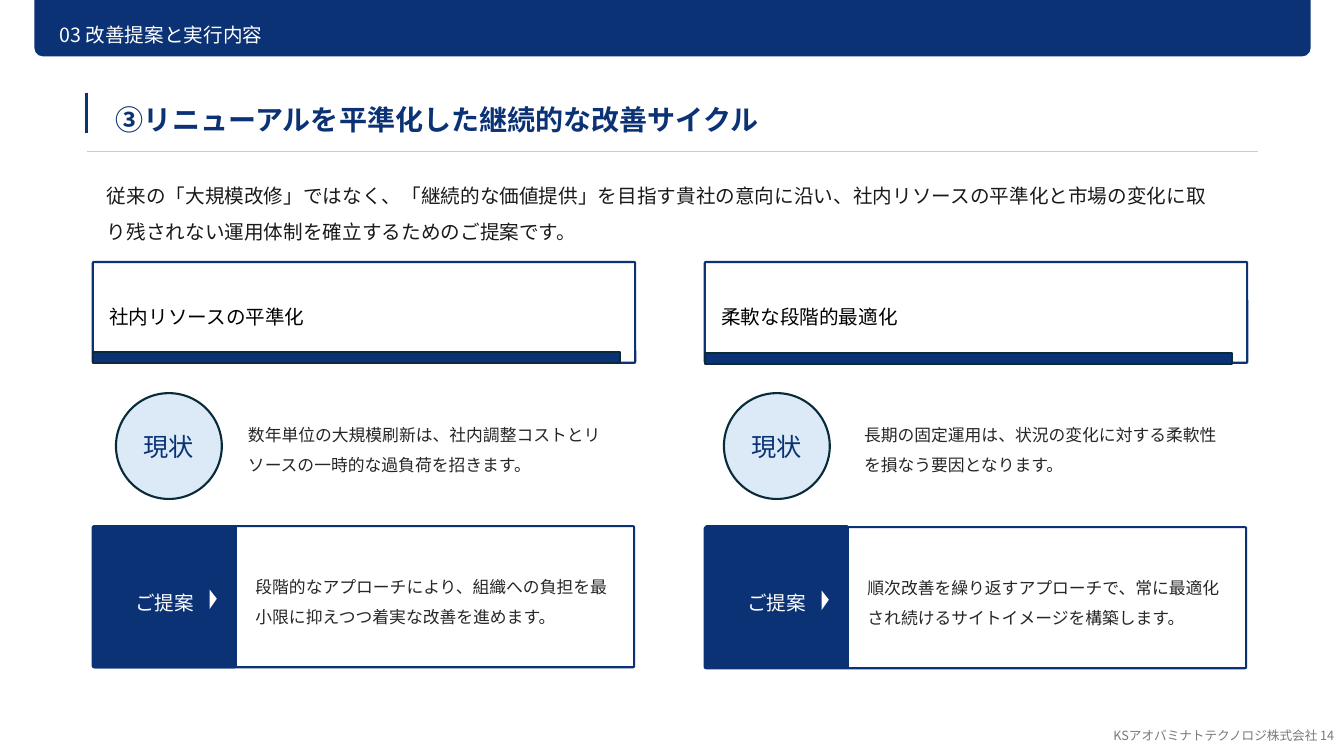
from lxml.etree import SubElement
from pptx import Presentation
from pptx.dml.color import RGBColor
from pptx.enum.shapes import MSO_CONNECTOR, MSO_SHAPE as Shape
from pptx.enum.text import MSO_ANCHOR as Anchor, MSO_AUTO_SIZE, PP_ALIGN as Align
from pptx.oxml.ns import qn
from pptx.util import Inches, Pt

FONT = "Noto Sans CJK JP"
NAVY, DARK, PALE, GREY, WHITE = "0B3274", "092A39", "DCEAF7", "CCCCCC", "FFFFFF"
INK, BODY, BLACK, FOOTER_GREY = "1A1A1A", "262626", "000000", "797979"

SECTION = "03 改善提案と実行内容"
TITLE = "③リニューアルを平準化した継続的な改善サイクル"
LEAD = (
    "従来の「大規模改修」ではなく、「継続的な価値提供」を目指す貴社の意向に沿い、"
    "社内リソースの平準化と市場の変化に取り残されない運用体制を確立するためのご提案です。"
)
FOOTER = "KSアオバミナトテクノロジ株式会社 14"
STATUS_LABEL, PROPOSAL_LABEL = "現状", "ご提案"
COLUMNS = [
    {
        "left": 0.92, "drop": 0, "circle": 1.15, "status_box": (2.3, 3.97),
        "heading": "社内リソースの平準化",
        "status": "数年単位の大規模刷新は、社内調整コストとリソースの一時的な過負荷を招きます。",
        "proposal": "段階的なアプローチにより、組織への負担を最小限に抑えつつ着実な改善を進めます。",
    },
    {
        "left": 6.99, "drop": 0.01, "circle": 7.18, "status_box": (8.41, 3.94),
        "heading": "柔軟な段階的最適化",
        "status": "長期の固定運用は、状況の変化に対する柔軟性を損なう要因となります。",
        "proposal": "順次改善を繰り返すアプローチで、常に最適化され続けるサイトイメージを構築します。",
    },
]
PAD = (0.16, 0.16, 0.16, 0.16)
DEFAULT_PAD = (0.1, 0.05, 0.1, 0.05)
NO_PAD = (0, 0, 0, 0)


def color(value):
    return RGBColor.from_string(value)


def write(box, text, size, ink, pad=DEFAULT_PAD, spacing=1.0, align=Align.LEFT,
          anchor=Anchor.TOP, wrap=True, bold=False):
    frame = box.text_frame
    frame.auto_size = MSO_AUTO_SIZE.NONE
    frame.word_wrap = wrap
    frame.vertical_anchor = anchor
    frame.margin_left, frame.margin_top, frame.margin_right, frame.margin_bottom = map(Inches, pad)
    frame.text = text
    para = frame.paragraphs[0]
    para.alignment = align
    para.line_spacing = spacing
    font = para.font
    font.name, font.size, font.bold = FONT, Pt(size), bold
    font.color.rgb = color(ink)
    east_asian = SubElement(para._p.pPr.find(qn("a:defRPr")), qn("a:ea"))
    east_asian.set("typeface", FONT)


def add_box(page, kind, area, fill=None, line=None, adjust=()):
    box = page.shapes.add_shape(kind, *map(Inches, area))
    box.shadow.inherit = False
    if fill:
        box.fill.solid()
        box.fill.fore_color.rgb = color(fill)
    else:
        box.fill.background()
    if line:
        box.line.color.rgb = color(line)
        box.line.width = Pt(1.5)
    else:
        box.line.fill.background()
    for index, value in enumerate(adjust):
        box.adjustments[index] = value
    return box


def add_panel(page, area, fill=None, line=None):
    return add_box(page, Shape.ROUNDED_RECTANGLE, area, fill, line, [0.01])


def add_text(page, area, *args, **options):
    write(page.shapes.add_textbox(*map(Inches, area)), *args, **options)


def add_rule(page, ends, ink, width):
    rule = page.shapes.add_connector(MSO_CONNECTOR.STRAIGHT, *map(Inches, ends))
    rule.line.color.rgb = color(ink)
    rule.line.width = Pt(width)
    SubElement(rule._element.spPr, qn("a:effectLst"))


def add_frame(page):
    """Header band, title, lead text and footer."""
    band = add_box(page, Shape.ROUND_2_SAME_RECTANGLE, (0.34, 0, 12.66, 0.56), NAVY,
                   adjust=[0.156, 0])
    band.rotation = 180
    add_rule(page, (0.86, 0.92, 0.86, 1.32), NAVY, 2)
    add_rule(page, (0.86, 1.5, 12.48, 1.5), GREY, 1)
    title = page.shapes.title
    title.left, title.top, title.width, title.height = map(Inches, (1.15, 0.92, 6.45, 0.41))
    write(title, TITLE, 20, NAVY, NO_PAD, 1.3, wrap=False, bold=True)
    add_text(page, (10.33, 7.1, 3, 0.4), FOOTER, 9, FOOTER_GREY,
             align=Align.RIGHT, anchor=Anchor.MIDDLE)
    add_text(page, (0.9, 1.59, 11.32, 0.92), LEAD, 14, INK, (0.16, 0.12, 0.2, 0.12), 1.5)
    add_text(page, (0.59, 0.16, 2.28, 0.29), SECTION, 14, WHITE, NO_PAD, 1.3, wrap=False)


def add_column(page, column):
    left, drop = column["left"], column["drop"]

    heading = add_panel(page, (left, 2.6, 5.38, 1), line=NAVY)
    write(heading, column["heading"], 14, BLACK, (0.16, 0.31, 0.2, 0.31), 1.5)
    add_box(page, Shape.RECTANGLE, (left, 3.49 + drop, 5.23, 0.11), NAVY, DARK)

    circle = add_box(page, Shape.OVAL, (column["circle"], 3.9, 1.05, 1.05), PALE, DARK)
    write(circle, STATUS_LABEL, 18, NAVY, align=Align.CENTER, anchor=Anchor.MIDDLE)
    status_left, status_width = column["status_box"]
    add_text(page, (status_left, 3.76, status_width, 1.31), column["status"], 12, BODY,
             PAD, 1.5, anchor=Anchor.MIDDLE)

    label = add_panel(page, (left + 0.01, 5.22, 1.41, 1.4), NAVY, NAVY)
    write(label, PROPOSAL_LABEL, 14, WHITE, PAD, 1.5, Align.CENTER, Anchor.MIDDLE)
    proposal = add_panel(page, (left, 5.22 + drop, 5.37, 1.4), line=NAVY)
    write(proposal, column["proposal"], 12, BODY, (1.61, 0.16, 0.16, 0.16), 1.5,
          anchor=Anchor.MIDDLE)
    arrow = add_box(page, Shape.ISOSCELES_TRIANGLE, (left + 1.1, 5.91 + drop, 0.19, 0.07),
                    WHITE, adjust=[0.47])
    arrow.rotation = 90


def main():
    deck = Presentation()
    deck.slide_width, deck.slide_height = Inches(13.33), Inches(7.5)
    page = deck.slides.add_slide(deck.slide_layouts.get_by_name("Title Only"))
    add_frame(page)
    for column in COLUMNS:
        add_column(page, column)
    deck.save("out.pptx")


if __name__ == "__main__":
    main()
